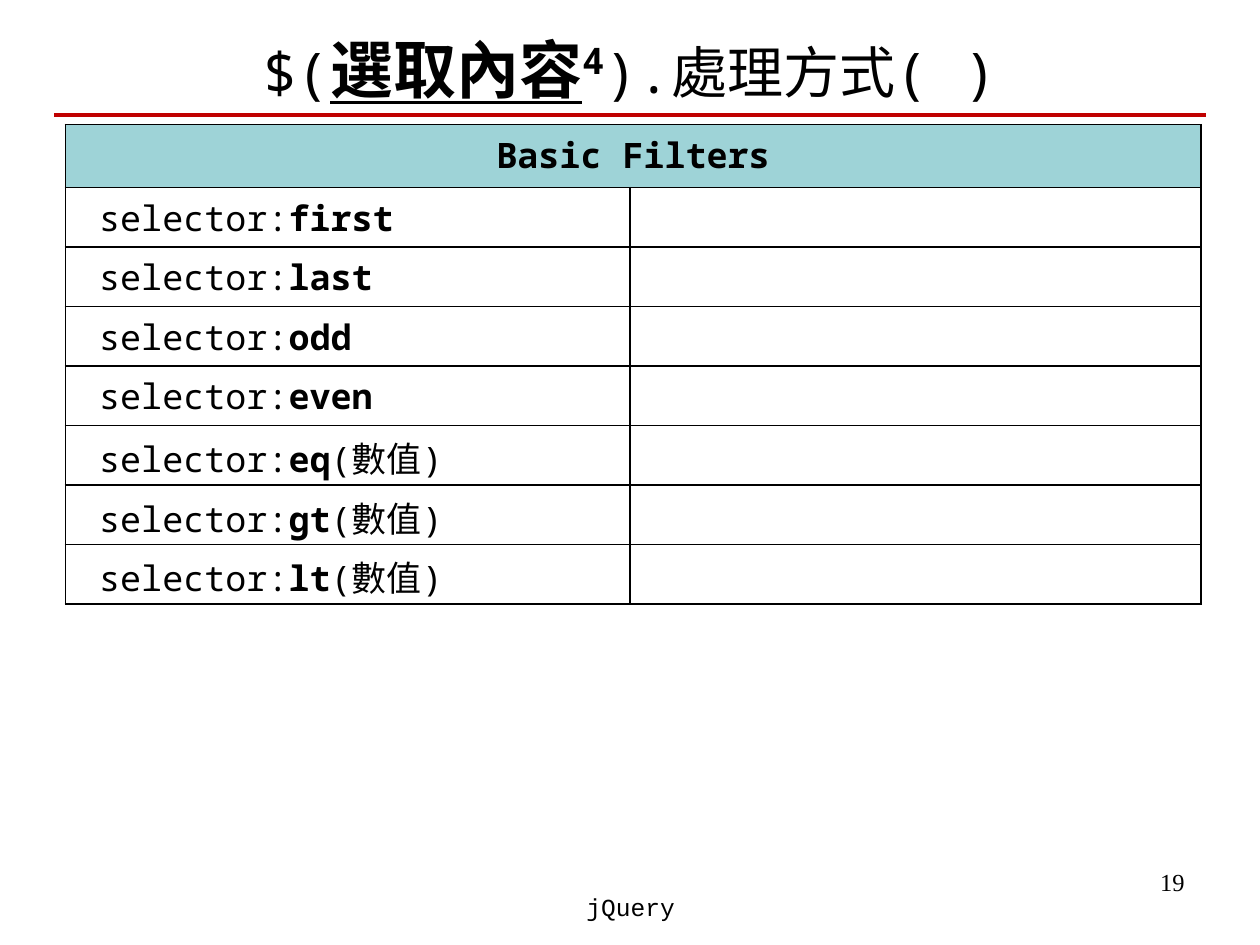
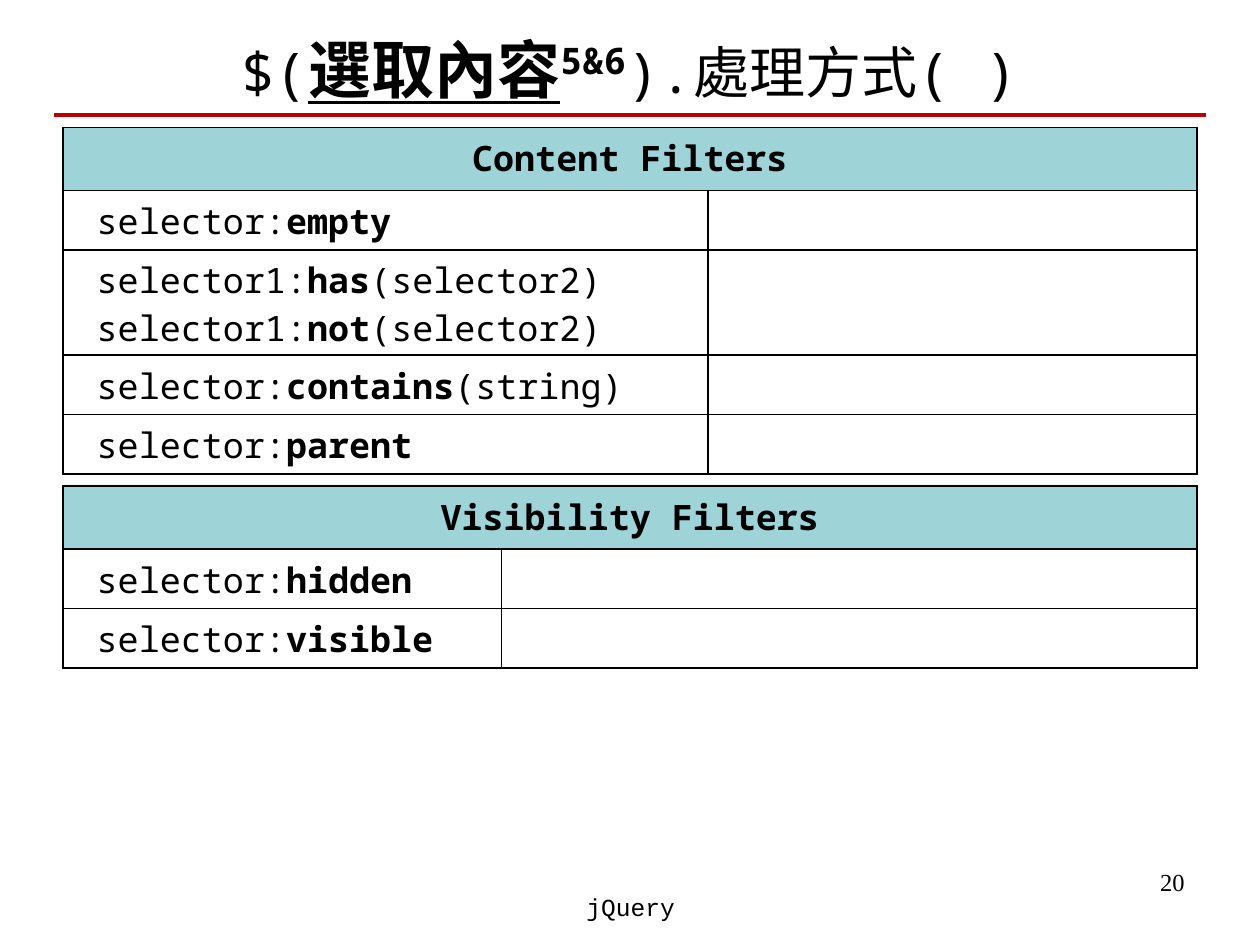
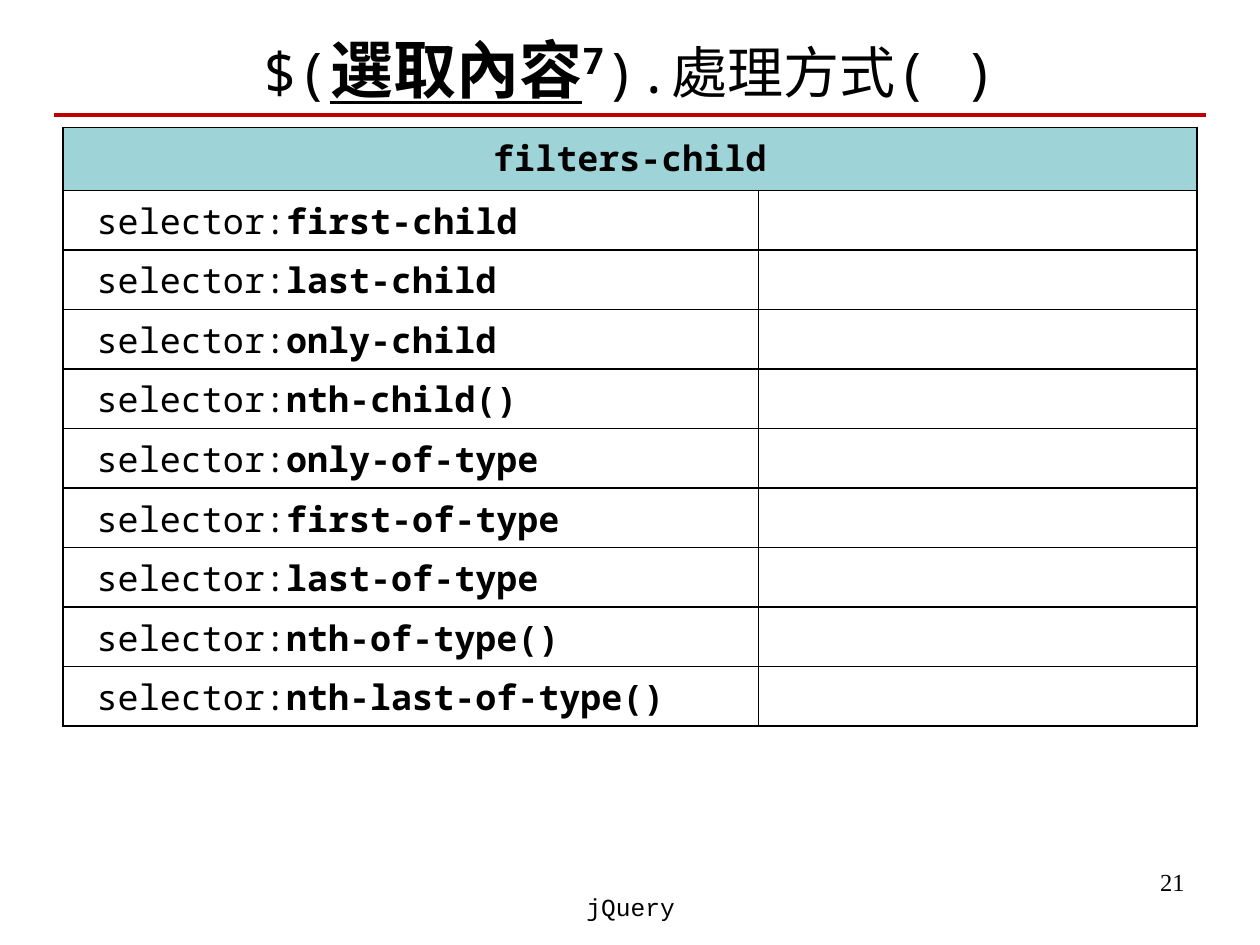
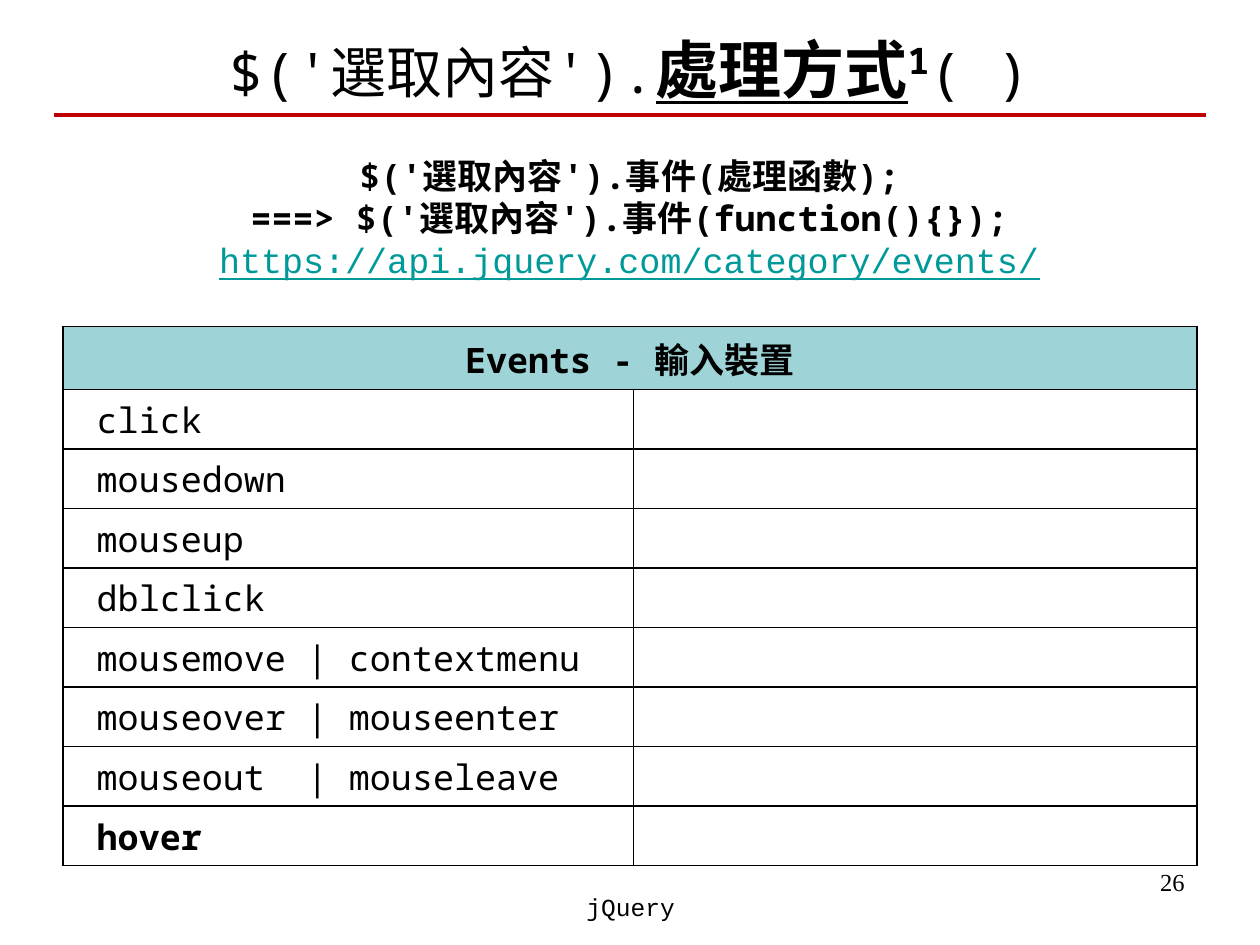
from pptx import Presentation
from pptx.dml.color import RGBColor
from pptx.enum.shapes import MSO_CONNECTOR
from pptx.enum.text import MSO_ANCHOR, PP_ALIGN
from pptx.oxml import parse_xml
from pptx.oxml.ns import nsdecls
from pptx.util import Cm, Pt

CENTER, RIGHT, LEFT = PP_ALIGN.CENTER, PP_ALIGN.RIGHT, PP_ALIGN.LEFT
TOP, MIDDLE = MSO_ANCHOR.TOP, MSO_ANCHOR.MIDDLE
STRAIGHT = MSO_CONNECTOR.STRAIGHT


class Theme:
    ink, rule, header, link = "000000", "C00000", "9ED3D7", "009999"
    mono, code, serif = "Noto Sans Mono", "Courier New", "Times New Roman"
    title, emphasis, body, small = 32, 36, 20, 14
    rule_width, border_width = 2.25, 1


# Content: titles are (before, emphasised, superscript, after);
# *stars* mark bold text in table rows, a tuple is a cell of several lines
FOOTER = "jQuery"
ACTION = ").處理方式( )"
SLIDES = [
    {"number": 19, "title": ("$(", "選取內容", "4", ACTION), "tables": [
        {"at": (1.32, 2.51), "columns": (11.38, 11.51), "header": "Basic Filters",
         "rows": ["selector:*first*", "selector:*last*", "selector:*odd*",
                  "selector:*even*", "selector:*eq*(數值)",
                  "selector:*gt*(數值)", "selector:*lt*(數值)"]}]},
    {"number": 20, "title": ("$(", "選取內容", "5&6", ACTION), "tables": [
        {"at": (1.27, 2.57), "columns": (13, 9.86), "header": "Content Filters",
         "rows": ["selector:*empty*",
                  ("selector1:*has*(selector2)", "selector1:*not*(selector2)"),
                  "selector:*contains*(string)", "selector:*parent*"]},
        {"at": (1.27, 9.8), "columns": (8.84, 14.02), "header": "Visibility Filters",
         "rows": ["selector:*hidden*", "selector:*visible*"]}]},
    {"number": 21, "title": ("$(", "選取內容", "7", ACTION), "tables": [
        {"at": (1.27, 2.57), "columns": (14.02, 8.84), "header": "filters-child",
         "rows": ["selector:*first-child*", "selector:*last-child*",
                  "selector:*only-child*", "selector:*nth-child()*",
                  "selector:*only-of-type*", "selector:*first-of-type*",
                  "selector:*last-of-type*", "selector:*nth-of-type()*",
                  "selector:*nth-last-of-type()*"]}]},
    {"number": 26, "title": ("$('選取內容').", "處理方式", "1", "( )"),
     "syntax": ["$('選取內容').事件(處理函數);",
                "===> $('選取內容').事件(function(){});"],
     "link": "https://api.jquery.com/category/events/",
     "tables": [
        {"at": (1.27, 6.58), "columns": (11.5, 11.36), "header": "Events - 輸入裝置",
         "rows": ["click", "mousedown", "mouseup", "dblclick",
                  "mousemove | contextmenu", "mouseover | mouseenter",
                  "mouseout  | mouseleave", "*hover*"]}]},
]

# Shared geometry in centimetres
TITLE_BOX = (1.27, 0.41, 22.86, 1.93)
NUMBER_BOX = (18.21, 17.35, 5.92, 1.32)
FOOTER_BOX = (8.69, 17.86, 8.05, 1.27)
SYNTAX_BOX = (1.22, 2.51, 22.94, 3.76)
RULE = (1.09, 2.31, 24.31, 2.31)
HEADER_HEIGHT, ROW_HEIGHT, EXTRA_LINE = 1.27, 1.2, 0.92
CELL_INDENT = 0.68


def add_run(paragraph, text, superscript=False, color=Theme.ink, **formats):
    run = paragraph.add_run()
    run.text = text
    values = {"name": Theme.mono, "size": Theme.body, "bold": False, **formats}
    values["size"] = Pt(values["size"])
    for name, value in values.items():
        setattr(run.font, name, value)
    run.font.color.rgb = RGBColor.from_string(color)
    if superscript:
        run._r.get_or_add_rPr().set("baseline", "30000")


def add_lines(frame, lines, alignment):
    """Each line is a list of (text, formats) runs."""
    for index, line in enumerate(lines):
        paragraph = frame.add_paragraph() if index else frame.paragraphs[0]
        paragraph.alignment = alignment
        for text, formats in line:
            add_run(paragraph, text, **formats)


def add_text(slide, box, lines, alignment=CENTER, anchor=TOP):
    frame = slide.shapes.add_textbox(*map(Cm, box)).text_frame
    frame.word_wrap = True
    frame.vertical_anchor = anchor
    add_lines(frame, lines, alignment)


def marked_runs(text):
    parts = enumerate(text.split("*"))
    return [(part, {"bold": index % 2 == 1}) for index, part in parts if part]


def style_cell(cell, fill=None):
    properties = cell._tc.get_or_add_tcPr()
    for side in ("lnL", "lnR", "lnT", "lnB"):
        properties.append(parse_xml(
            f'<a:{side} {nsdecls("a")} w="{Pt(Theme.border_width)}"><a:solidFill>'
            f'<a:srgbClr val="{Theme.ink}"/></a:solidFill></a:{side}>'))
    if fill:
        cell.fill.solid()
        cell.fill.fore_color.rgb = RGBColor.from_string(fill)
    else:
        cell.fill.background()


def add_filter_table(slide, at, columns, header, rows):
    rows = [(row,) if isinstance(row, str) else row for row in rows]
    heights = [HEADER_HEIGHT] + [ROW_HEIGHT + EXTRA_LINE * (len(row) - 1) for row in rows]
    table = slide.shapes.add_table(
        len(heights), len(columns), *map(Cm, (*at, sum(columns), sum(heights)))).table
    table.first_row = table.horz_banding = False
    for column, width in zip(table.columns, columns):
        column.width = Cm(width)
    for index, (row, height) in enumerate(zip(table.rows, heights)):
        row.height = Cm(height)
        for cell in row.cells:
            style_cell(cell, None if index else Theme.header)

    # Header spans the columns; names go in the first column
    title_cell = table.cell(0, 0)
    title_cell.merge(table.cell(0, len(columns) - 1))
    add_lines(title_cell.text_frame, [[(header, {"bold": True})]], CENTER)
    for index, lines in enumerate(rows, start=1):
        cell = table.cell(index, 0)
        cell.margin_left = Cm(CELL_INDENT)
        add_lines(cell.text_frame, [marked_runs(line) for line in lines], LEFT)


def add_frame(slide, title, number):
    """Title, rule, footer and slide number."""
    before, emphasised, superscript, after = title
    plain = {"size": Theme.title}
    strong = {"size": Theme.emphasis, "bold": True}
    add_text(slide, NUMBER_BOX,
             [[(str(number), {"name": Theme.serif, "size": Theme.small})]], RIGHT)
    add_text(slide, TITLE_BOX, [[
        (before, plain), (emphasised, {**strong, "underline": True}),
        (superscript, {**strong, "superscript": True}), (after, plain)]], anchor=MIDDLE)
    rule = slide.shapes.add_connector(STRAIGHT, *map(Cm, RULE))
    rule.line.color.rgb = RGBColor.from_string(Theme.rule)
    rule.line.width = Pt(Theme.rule_width)
    rule._element.spPr.append(parse_xml(f'<a:effectLst {nsdecls("a")}/>'))
    add_text(slide, FOOTER_BOX, [[(FOOTER, {"name": Theme.code, "size": Theme.small})]])


presentation = Presentation()
presentation.slide_width, presentation.slide_height = Cm(25.4), Cm(19.05)
blank_layout = presentation.slide_layouts[6]

for content in SLIDES:
    slide = presentation.slides.add_slide(blank_layout)
    add_frame(slide, content["title"], content["number"])
    if "syntax" in content:
        lines = [[(line, {"bold": True})] for line in content["syntax"]]
        lines.append([(content["link"], {"name": Theme.code, "color": Theme.link,
                                         "underline": True})])
        add_text(slide, SYNTAX_BOX, lines, anchor=MIDDLE)
    for table in content["tables"]:
        add_filter_table(slide, **table)

presentation.save("out.pptx")
